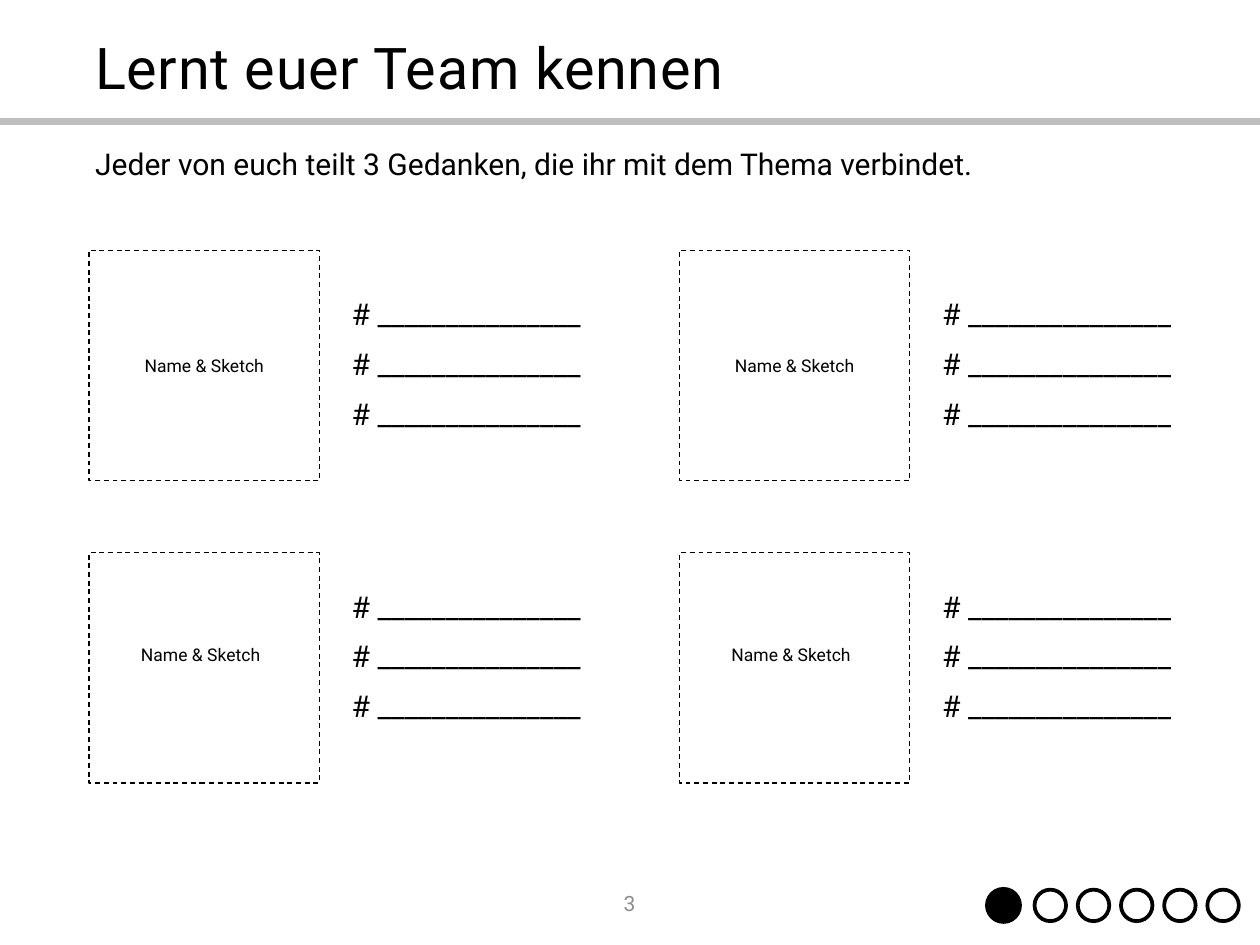
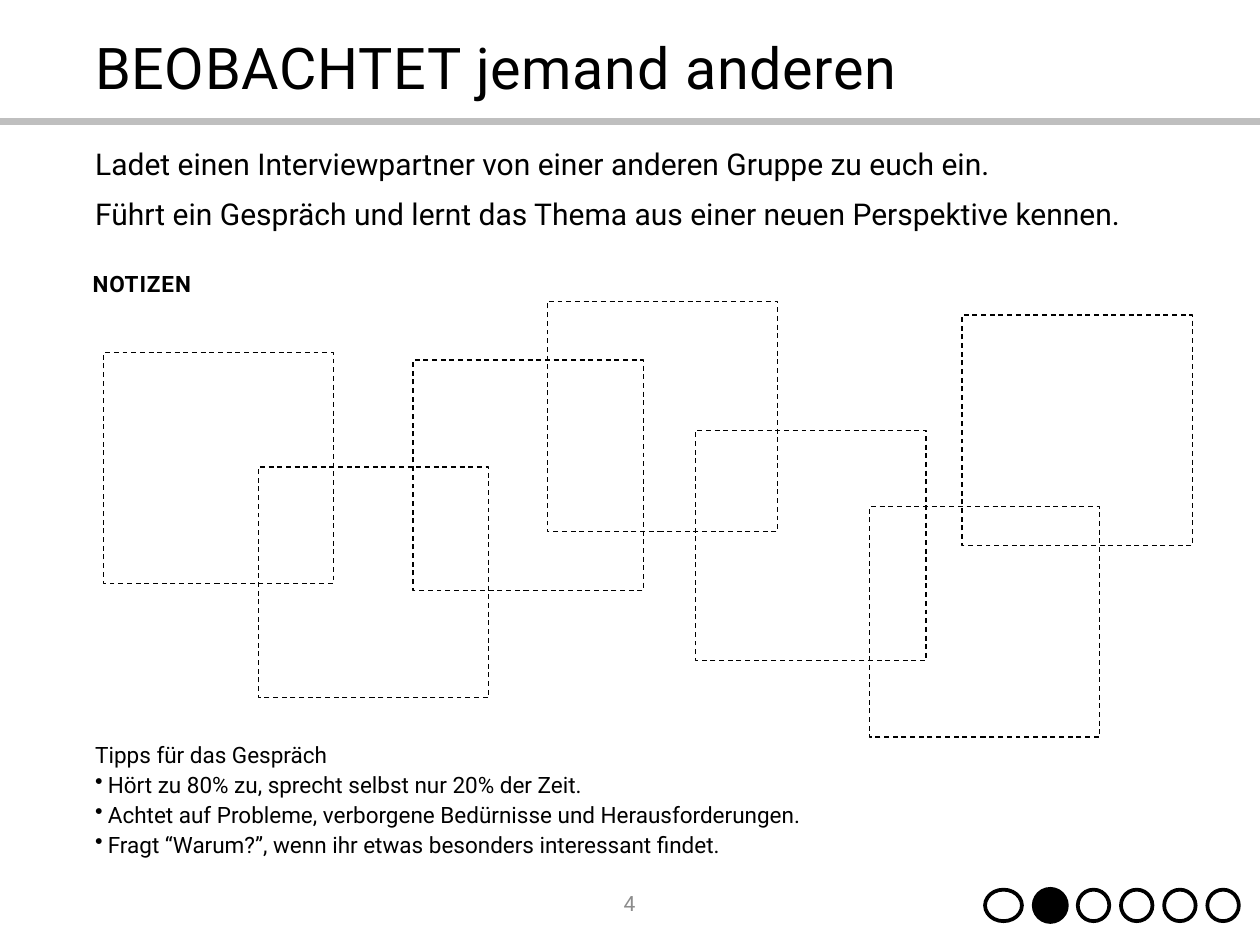
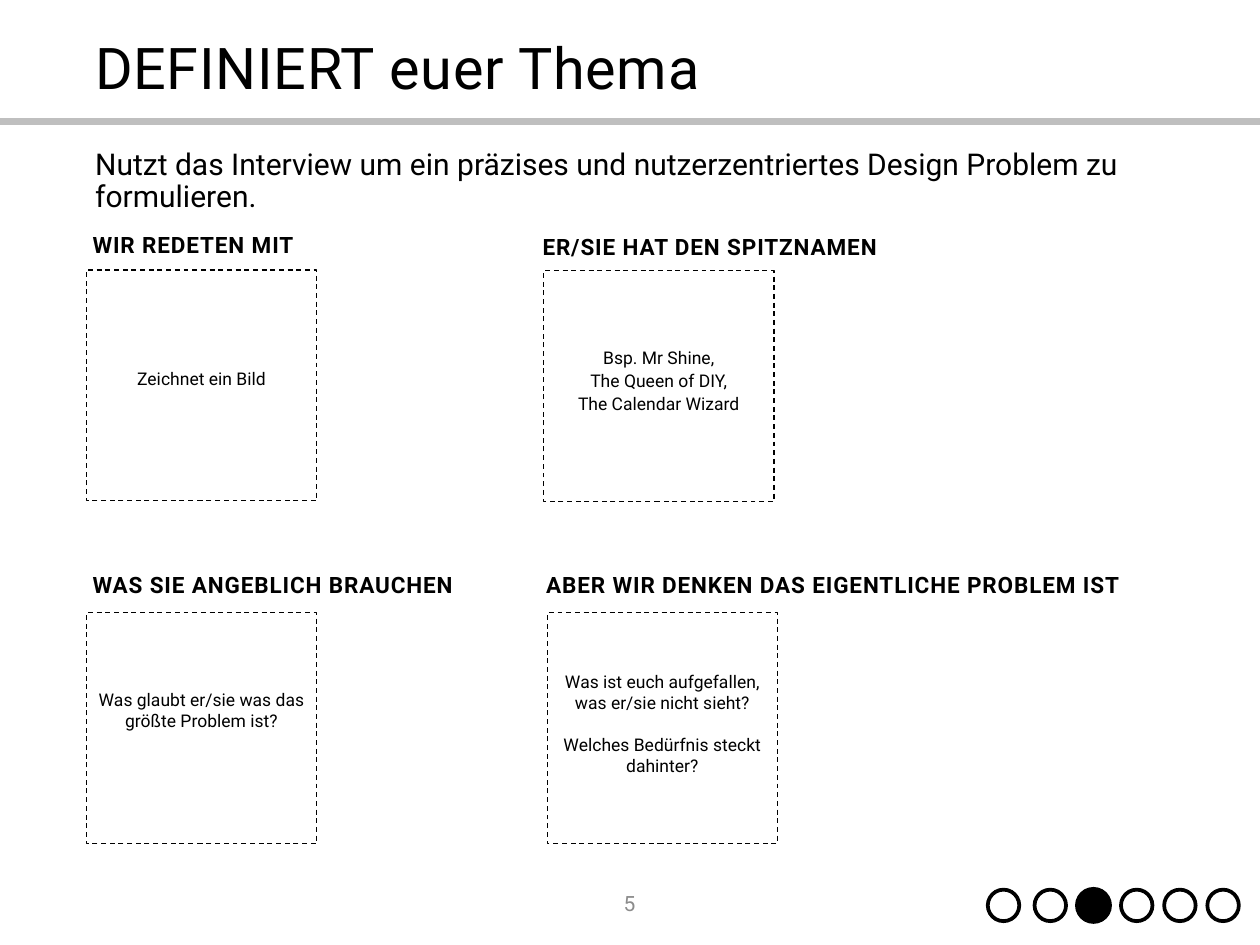
from pptx import Presentation
from pptx.dml.color import RGBColor
from pptx.enum.dml import MSO_LINE
from pptx.enum.shapes import MSO_CONNECTOR, MSO_SHAPE
from pptx.enum.text import MSO_ANCHOR, PP_ALIGN
from pptx.oxml.ns import qn
from pptx.util import Inches, Pt

BLACK = RGBColor(0x00, 0x00, 0x00)
WHITE = RGBColor(0xFF, 0xFF, 0xFF)
BAND_GRAY = RGBColor(0xBF, 0xBF, 0xBF)
NUMBER_GRAY = RGBColor(0x8C, 0x8C, 0x8C)

# Format values: font and paragraph settings, plus letter spacing in points
TITLE = {"font": {"size": Pt(46)}, "para": {"line_spacing": 0.9}, "tracking": 0.6}
NUMBER = {"font": {"size": Pt(16.8)}, "para": {"alignment": PP_ALIGN.CENTER}, "color": NUMBER_GRAY}
BODY = {"font": {"size": Pt(24)}, "para": {"line_spacing": 0.9}, "gap": 14}
HEADING = {"font": {"size": Pt(18), "bold": True}, "tracking": 0.7}
TIPS = {"font": {"size": Pt(18)}, "para": {"line_spacing": 1.1}}
HINT = {"font": {"size": Pt(14)}, "para": {"alignment": PP_ALIGN.CENTER}}
SPACED_HINT = {**HINT, "para": {"alignment": PP_ALIGN.CENTER, "line_spacing": 1.1}}
SPLIT_HINT = {**HINT, "gap": 16.5}

SLIDE_WIDTH, SLIDE_HEIGHT = 14, 10.5
SQUARE = 2.56
DOT, ACTIVE_DOT = 0.35, 0.41
DOT_CENTERS = (11.15, 11.67, 12.15, 12.63, 13.11, 13.59)
DOT_MIDDLE = 10.06

TEAM = {
    "number": 3,
    "title": "Lernt euer Team kennen",
    "body": ["Jeder von euch teilt 3 Gedanken, die ihr mit dem Thema verbindet."],
}
MEMBER_LABEL = "Name & Sketch"
THOUGHTS = ["# _______________"] * 3
MEMBER_COLUMNS = (0.99, 7.55)
# top of square, shift and top of label, top of thoughts
MEMBER_ROWS = ((2.78, 0, 3.89, 3.28), (6.14, -0.04, 7.11, 6.53))

OBSERVE = {
    "number": 4,
    "title": "BEOBACHTET jemand anderen",
    "body": [
        "Ladet einen Interviewpartner von einer anderen Gruppe zu euch ein.",
        "Führt ein Gespräch und lernt das Thema aus einer neuen Perspektive kennen.",
    ],
}
TIPS_TITLE = "Tipps für das Gespräch"
TIPS_LIST = [
    "Hört zu 80% zu, sprecht selbst nur 20% der Zeit.",
    "Achtet auf Probleme, verborgene Bedürnisse und Herausforderungen.",
    "Fragt “Warum?”, wenn ihr etwas besonders interessant findet.",
]
NOTE_SQUARES = ((1.15, 3.92), (2.87, 5.19), (6.08, 3.35), (9.66, 5.63),
                (10.69, 3.5), (4.59, 4), (7.73, 4.78))

DEFINE = {
    "number": 5,
    "title": "DEFINIERT euer Thema",
    "body": ["Nutzt das Interview um ein präzises und nutzerzentriertes "
             "Design Problem zu formulieren."],
}
# heading, its place and width, place of square, top of hint, hint style, hint
QUESTIONS = [
    ("WIR REDETEN MIT", (0.93, 2.52, 3), (0.96, 3), 4.04, HINT, ["Zeichnet ein Bild"]),
    ("ER/SIE HAT DEN SPITZNAMEN", (5.93, 2.54, 5), (6.04, 3.01), 3.78, SPACED_HINT,
     ["Bsp. Mr Shine,", "The Queen of DIY,", "The Calendar Wizard"]),
    ("WAS SIE ANGEBLICH BRAUCHEN", (0.93, 6.29, 5), (0.96, 6.81), 7.61, HINT,
     ["Was glaubt er/sie was das größte Problem ist?"]),
    ("ABER WIR DENKEN DAS EIGENTLICHE PROBLEM IST", (5.97, 6.29, 7.9), (6.08, 6.81), 7.41,
     SPLIT_HINT, ["Was ist euch aufgefallen, was er/sie nicht sieht?",
                  "Welches Bedürfnis steckt dahinter?"]),
]


def add_text(page, place, lines, style, anchor=MSO_ANCHOR.TOP):
    box = page.shapes.add_textbox(*map(Inches, place))
    frame = box.text_frame
    frame.word_wrap = True
    frame.vertical_anchor = anchor
    for index, line in enumerate(lines):
        para = frame.paragraphs[0] if index == 0 else frame.add_paragraph()
        for name, value in style.get("para", {}).items():
            setattr(para, name, value)
        if index and "gap" in style:
            para.space_before = Pt(style["gap"])
        span = para.add_run()
        span.text = line
        span.font.name = "Roboto"
        span.font.color.rgb = style.get("color", BLACK)
        for name, value in style["font"].items():
            setattr(span.font, name, value)
        if "tracking" in style:
            span.font._element.set("spc", str(round(style["tracking"] * 100)))
    return box


def add_bullet(para, indent=0.14):
    properties = para._p.get_or_add_pPr()
    properties.set("marL", str(Inches(indent)))
    properties.set("indent", str(-Inches(indent)))
    bullet = properties.makeelement(qn("a:buChar"), {"char": "•"})
    properties.append(bullet)


def add_square(page, left, top):
    square = page.shapes.add_shape(MSO_SHAPE.RECTANGLE, *map(Inches, (left, top, SQUARE, SQUARE)))
    square.shadow.inherit = False
    square.fill.background()
    square.line.color.rgb = BLACK
    square.line.width = Pt(1)
    square.line.dash_style = MSO_LINE.DASH


def add_dot(page, center, width, height, active):
    place = (center - width / 2, DOT_MIDDLE - height / 2, width, height)
    dot = page.shapes.add_shape(MSO_SHAPE.OVAL, *map(Inches, place))
    dot.shadow.inherit = False
    dot.fill.solid()
    dot.fill.fore_color.rgb = BLACK if active else WHITE
    if active:
        dot.line.fill.background()
    else:
        dot.line.color.rgb = BLACK
        dot.line.width = Pt(3)


def add_page(deck, content, step, first_width=DOT):
    """Add a page with band, title, body, number and progress dots."""
    page = deck.slides.add_slide(deck.slide_layouts[6])
    band = page.shapes.add_connector(
        MSO_CONNECTOR.STRAIGHT, *map(Inches, (0, 1.35, SLIDE_WIDTH, 1.35)))
    band.line.color.rgb = BAND_GRAY
    band.line.width = Pt(5.25)
    properties = band._element.spPr
    properties.append(properties.makeelement(qn("a:effectLst"), {}))

    add_text(page, (0.96, 0.16, 12.07, 1.26), [content["title"]], TITLE, MSO_ANCHOR.MIDDLE)
    add_text(page, (5.42, 9.76, 3.15, 0.56), [str(content["number"])], NUMBER, MSO_ANCHOR.MIDDLE)
    add_text(page, (0.96, 1.61, 12.07, 0.92), content["body"], BODY)
    for index, center in enumerate(DOT_CENTERS):
        active = index == step
        height = ACTIVE_DOT if active else DOT
        width = first_width if index == 0 and not active else height
        add_dot(page, center, width, height, active)
    return page


def add_team_page(deck):
    page = add_page(deck, TEAM, 0)
    for left in MEMBER_COLUMNS:
        for top, label_shift, label_top, thoughts_top in MEMBER_ROWS:
            add_square(page, left, top)
            add_text(page, (left + label_shift, label_top, SQUARE, 0.34), [MEMBER_LABEL], HINT)
            add_text(page, (left + 2.82, thoughts_top, 3.2, 1.74), THOUGHTS, BODY)


def add_observe_page(deck):
    page = add_page(deck, OBSERVE, 1, first_width=0.41)
    add_text(page, (0.93, 2.95, 1.6, 0.4), ["NOTIZEN"], HEADING)
    tips = add_text(page, (0.96, 8.16, 8.31, 1.43), [TIPS_TITLE, *TIPS_LIST], TIPS)
    for para in tips.text_frame.paragraphs[1:]:
        add_bullet(para)
    for left, top in NOTE_SQUARES:
        add_square(page, left, top)


def add_define_page(deck):
    page = add_page(deck, DEFINE, 2)
    for heading, (left, top, width), square, hint_top, style, hint in QUESTIONS:
        add_text(page, (left, top, width, 0.4), [heading], HEADING)
        add_square(page, *square)
        add_text(page, (square[0], hint_top, SQUARE, 0.34 * len(hint)), hint, style)


def main():
    deck = Presentation()
    deck.slide_width = Inches(SLIDE_WIDTH)
    deck.slide_height = Inches(SLIDE_HEIGHT)
    add_team_page(deck)
    add_observe_page(deck)
    add_define_page(deck)
    deck.save("out.pptx")


if __name__ == "__main__":
    main()
